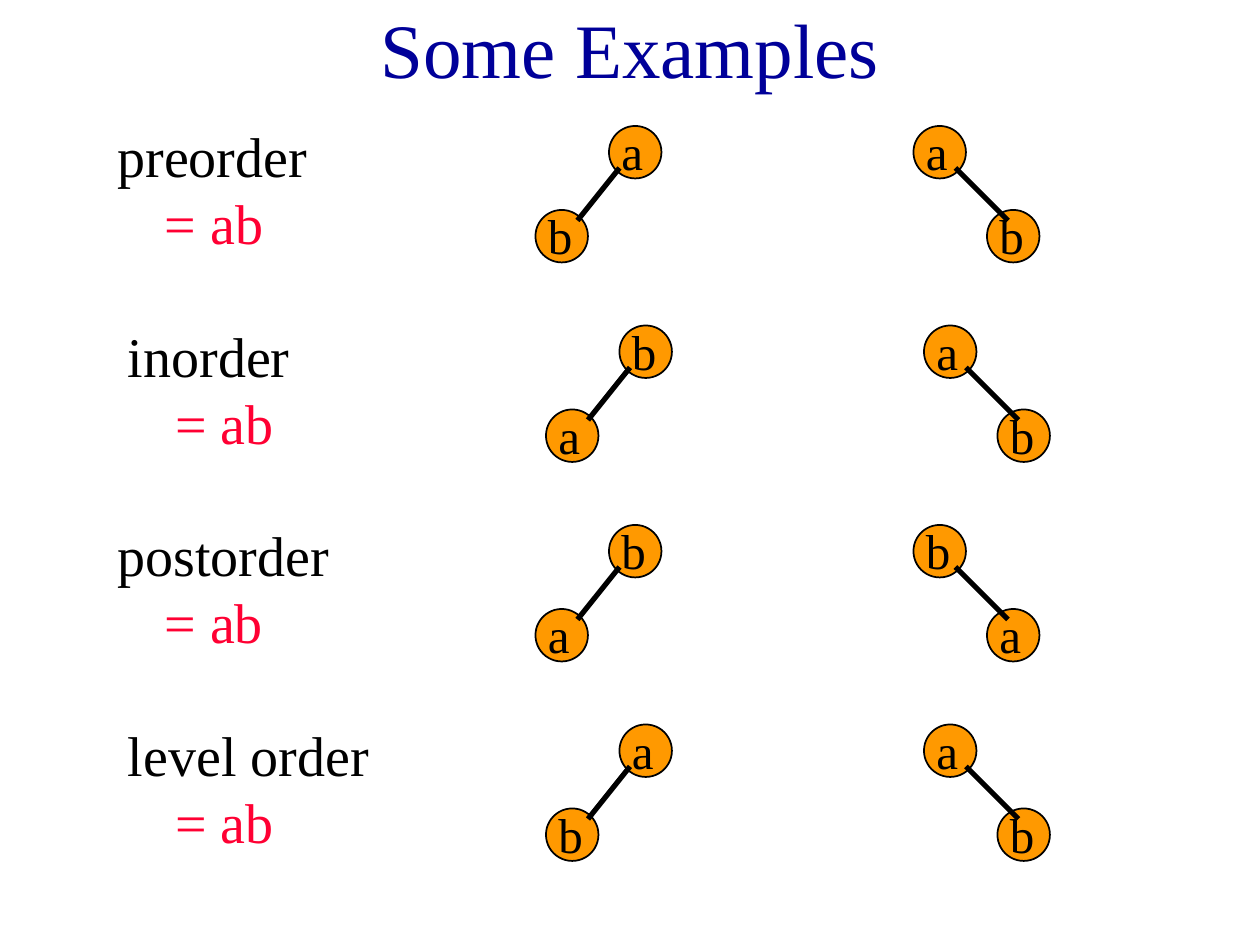
from pptx import Presentation
from pptx.dml.color import RGBColor
from pptx.enum.shapes import MSO_CONNECTOR, MSO_SHAPE
from pptx.enum.text import MSO_ANCHOR, MSO_AUTO_SIZE, PP_ALIGN
from pptx.oxml import parse_xml
from pptx.oxml.ns import nsdecls
from pptx.util import Pt

FONT = "Times New Roman"
BLACK, BLUE, RED, ORANGE = "000000", "000099", "FF0033", "FF9900"
NODE = 30
ROW_PITCH = 114
ROW_SHIFT = 6
ROWS = [
    ("preorder ", 132, "ab", "ab"),
    ("inorder ", 132, "ba", "ab"),
    ("postorder ", 144, "ba", "ba"),
    ("level order ", 174, "ab", "ab"),
]
LEFT_TREE = {"root": 348, "child": 306, "edge": (354, 330)}
RIGHT_TREE = {"root": 522, "child": 564, "edge": (546, 576)}


def rgb(value):
    """Turn a hex string into a colour."""
    return RGBColor.from_string(value)


def set_all(obj, values):
    """Set each attribute of obj from a dict."""
    for name, value in values.items():
        setattr(obj, name, value)


def add_run(p, text, size, color):
    """Add a run of text to a paragraph."""
    r = p.add_run()
    r.text = text
    set_all(r.font, {"name": FONT, "size": Pt(size)})
    r.font.color.rgb = rgb(color)


def add_box(shapes, x, y, w, h, auto_size):
    """Add a wrapping text box and return its first paragraph."""
    tf = shapes.add_textbox(Pt(x), Pt(y), Pt(w), Pt(h)).text_frame
    set_all(tf, {"word_wrap": True, "auto_size": auto_size})
    return tf.paragraphs[0]


def add_title(s, text):
    """Place and format the title."""
    sp = s.shapes.title
    set_all(sp, {"left": Pt(54), "top": Pt(0), "width": Pt(612), "height": Pt(54)})
    tf = sp.text_frame
    set_all(tf, {"vertical_anchor": MSO_ANCHOR.MIDDLE, "auto_size": MSO_AUTO_SIZE.NONE})
    p = tf.paragraphs[0]
    p.alignment = PP_ALIGN.CENTER
    add_run(p, text, 44, BLUE)


def add_label(s, x, y, w, order):
    """Add the name of an order with its result on a hanging line."""
    p = add_box(s.shapes, x, y, w, 96, MSO_AUTO_SIZE.NONE)
    p.space_before = Pt(8)
    pPr = p._p.get_or_add_pPr()
    pPr.set("marL", str(Pt(27)))
    pPr.set("indent", str(Pt(-27)))
    add_run(p, order, 32, BLACK)
    add_run(p, "= ab", 32, RED)


def add_node(shapes, x, y):
    """Add the circle of a tree node."""
    sp = shapes.add_shape(MSO_SHAPE.OVAL, Pt(x), Pt(y), Pt(NODE), Pt(NODE))
    sp.shadow.inherit = False
    sp.fill.solid()
    sp.fill.fore_color.rgb = rgb(ORANGE)
    sp.line.color.rgb = rgb(BLACK)
    sp.line.width = Pt(1)


def add_letter(shapes, x, y, letter):
    """Add the letter of a tree node."""
    p = add_box(shapes, x, y - 6, 60, 41, MSO_AUTO_SIZE.SHAPE_TO_FIT_TEXT)
    p.space_before = Pt(17.5)
    add_run(p, letter, 28, BLACK)


def add_edge(shapes, x1, y1, x2, y2):
    """Add the line between two nodes."""
    cx = shapes.add_connector(MSO_CONNECTOR.STRAIGHT, Pt(x1), Pt(y1), Pt(x2), Pt(y2))
    cx.line.color.rgb = rgb(BLACK)
    cx.line.width = Pt(3)
    cx._element.spPr.append(parse_xml(f"<a:effectLst {nsdecls('a')}/>"))


def add_tree(s, tree, dx, y, letters):
    """Add a grouped tree of a root and one child."""
    shapes = s.shapes.add_group_shape().shapes
    root = (tree["root"] + dx, y + 6)
    child = (tree["child"] + dx, y + 54)
    start, end = tree["edge"]
    add_node(shapes, *child)
    add_node(shapes, *root)
    add_letter(shapes, *root, letters[0])
    add_letter(shapes, *child, letters[1])
    add_edge(shapes, start + dx, y + 30, end + dx, y + 60)


def main():
    """Build the slide."""
    prs = Presentation()
    set_all(prs, {"slide_width": Pt(720), "slide_height": Pt(540)})
    s = prs.slides.add_slide(prs.slide_layouts[5])
    add_title(s, "Some Examples")
    for i, (order, width, left, right) in enumerate(ROWS):
        dx, y = i % 2 * ROW_SHIFT, 66 + i * ROW_PITCH
        add_label(s, 60 + dx, y, width, order)
        add_tree(s, LEFT_TREE, dx, y, left)
        add_tree(s, RIGHT_TREE, dx, y, right)
    prs.save("out.pptx")


if __name__ == "__main__":
    main()
